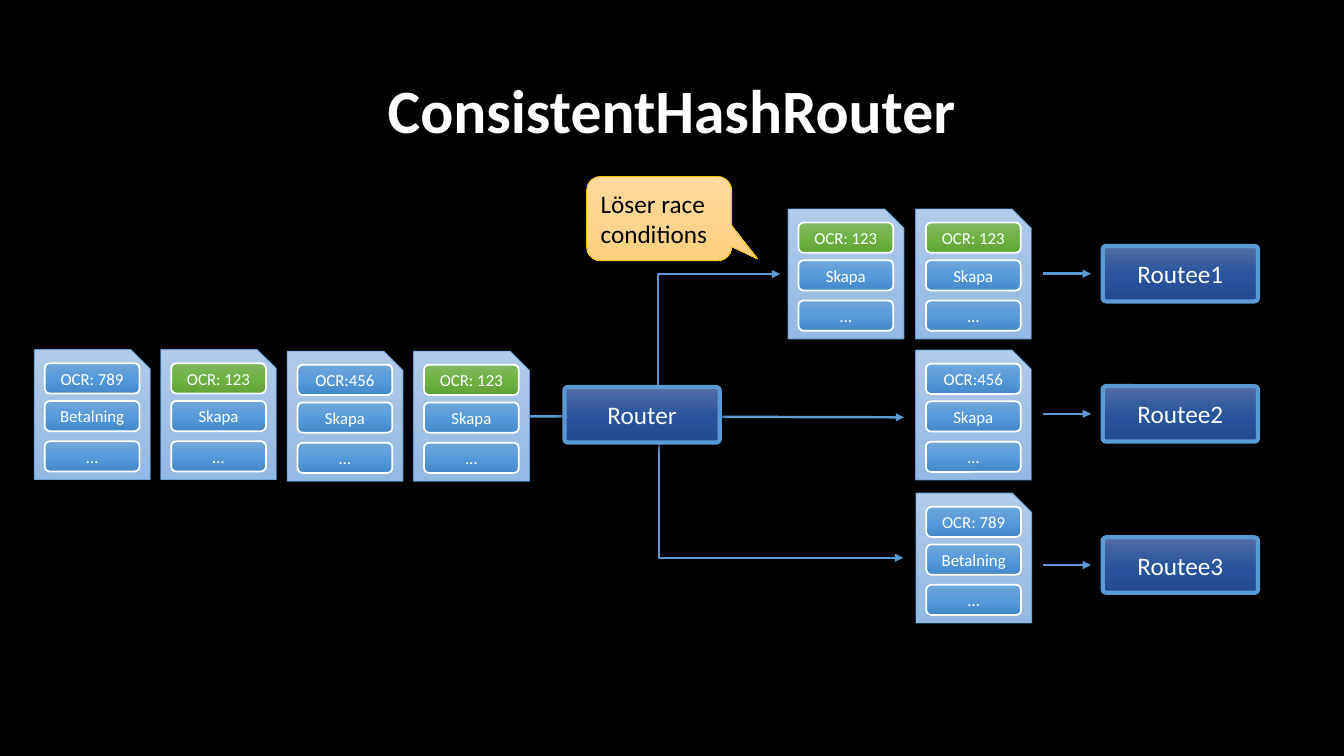
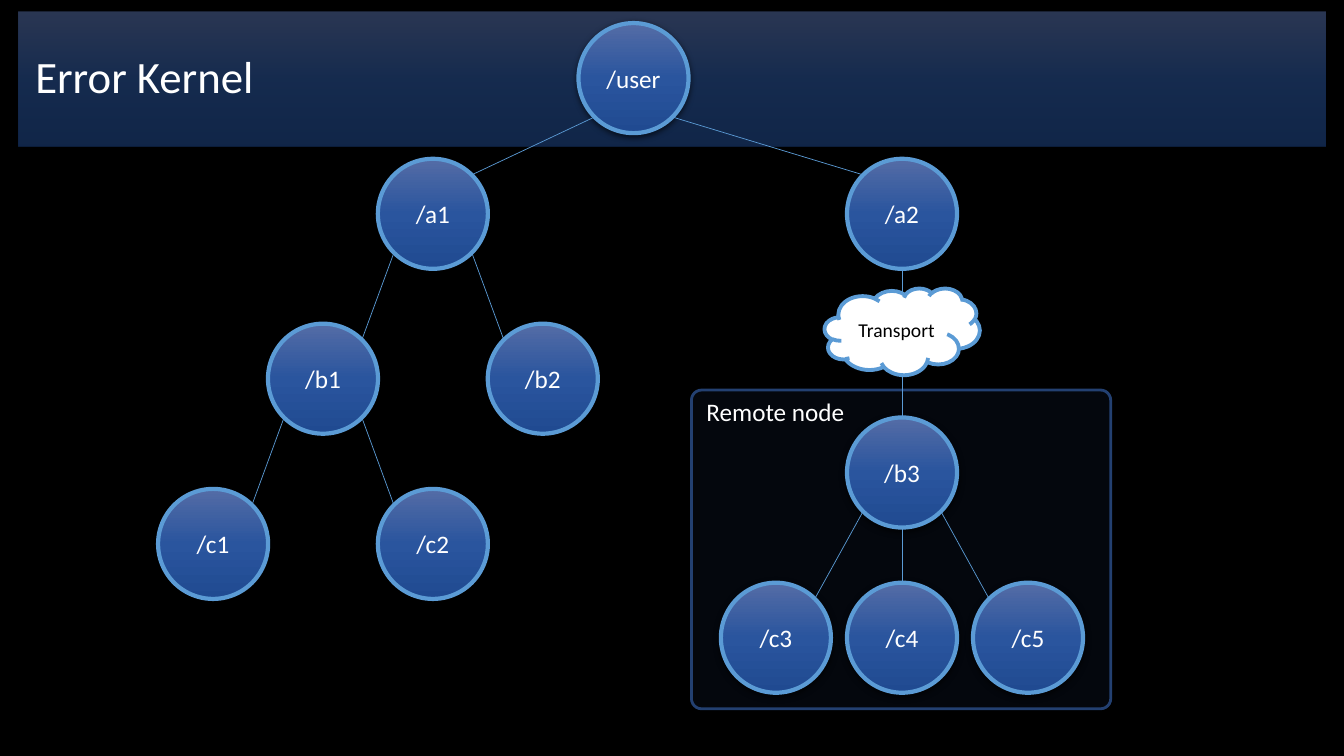
from math import sqrt

from pptx import Presentation
from pptx.dml.color import RGBColor
from pptx.enum.shapes import MSO_CONNECTOR, MSO_SHAPE
from pptx.enum.text import MSO_ANCHOR, MSO_AUTO_SIZE, PP_ALIGN
from pptx.oxml import parse_xml
from pptx.oxml.ns import nsdecls, qn
from pptx.util import Pt

STRAIGHT, ELBOW = MSO_CONNECTOR.STRAIGHT, MSO_CONNECTOR.ELBOW
ROUNDED, SNIPPED = MSO_SHAPE.ROUNDED_RECTANGLE, MSO_SHAPE.SNIP_1_RECTANGLE
OVAL, CLOUD = MSO_SHAPE.OVAL, MSO_SHAPE.CLOUD
CALLOUT = MSO_SHAPE.ROUNDED_RECTANGULAR_CALLOUT
LEFT, CENTER = PP_ALIGN.LEFT, PP_ALIGN.CENTER
MIDDLE, NO_FIT = MSO_ANCHOR.MIDDLE, MSO_AUTO_SIZE.NONE

FONT = "Calibri"
BLACK = RGBColor(0x00, 0x00, 0x00)
WHITE = RGBColor(0xFF, 0xFF, 0xFF)
ACCENT = RGBColor(0x5B, 0x9B, 0xD5)
GOLD = RGBColor(0xFF, 0xC0, 0x00)
PANEL_FILL = RGBColor(0x2F, 0x56, 0x99)
PANEL_LINE = RGBColor(0x23, 0x40, 0x71)
NAVY = (RGBColor(0x54, 0x6C, 0xA6), RGBColor(0x2A, 0x55, 0x9E), RGBColor(0x20, 0x4A, 0x91))
PALE = (RGBColor(0xB1, 0xCB, 0xE9), RGBColor(0xA3, 0xC1, 0xE5), RGBColor(0x93, 0xB9, 0xE4))
BLUE = (RGBColor(0x71, 0xA6, 0xDB), RGBColor(0x55, 0x9B, 0xDB), RGBColor(0x44, 0x8A, 0xCA))
GREEN = (RGBColor(0x81, 0xB8, 0x61), RGBColor(0x6F, 0xB2, 0x42), RGBColor(0x62, 0xA3, 0x36))
AMBER = (RGBColor(0xFF, 0xDB, 0x9E), RGBColor(0xFF, 0xD5, 0x90), RGBColor(0xFF, 0xD0, 0x7C))

PAY_789 = ("OCR: 789", "Betalning", BLUE)
CREATE_123 = ("OCR: 123", "Skapa", GREEN)
CREATE_456 = ("OCR:456", "Skapa", BLUE)
MESSAGES = [
    (24.5, 249.7, PAY_789), (114.8, 249.7, CREATE_123),
    (205.1, 250.8, CREATE_456), (295.4, 250.8, CREATE_123),
    (653.9, 149.2, CREATE_123), (562.9, 149.2, CREATE_123),
    (653.9, 250, CREATE_456), (654.2, 352.2, PAY_789),
]
CARD_W, CARD_H = 82.8, 92.9
FIELD_W, FIELD_H, FIELD_LEFT = 67.7, 21.6, 7.5
FIELD_TOPS = (9.8, 36.7, 65.5)
NODE_W, NODE_H = 110.9, 39.6
ROUTEES = [("Routee1", 175.7), ("Routee2", 275.8), ("Routee3", 383.8)]
QUEUE_END = (378.5, 297.4)
BRANCHES = [
    (ELBOW, (645.1, 398.4), 1.5, 0.346),
    (ELBOW, (557.3, 195.8), 1.5, 0.512),
    (STRAIGHT, (645.8, 298.1), 1.75, None),
]

ACTOR_D = 78.6
ACTORS = {
    "/user": (452.5, 55.8),
    "/a1": (309.2, 152.7), "/a2": (644.3, 152.7),
    "/b1": (230.7, 270.5), "/b2": (387.7, 270.5), "/b3": (644.3, 337.5),
    "/c1": (152.2, 388.5), "/c2": (309.2, 388.5),
    "/c3": (554.2, 455.5), "/c4": (644.3, 455.5), "/c5": (734.3, 455.5),
}
CHILDREN = {
    "/user": ["/a1", "/a2"], "/a1": ["/b1", "/b2"], "/b1": ["/c1", "/c2"],
    "/a2": ["/b3"], "/b3": ["/c3", "/c4", "/c5"],
}


def paint(shape, stops, opacity=100):
    shape.fill.gradient()
    properties = shape._element.spPr
    marks = "".join(
        f'<a:gs pos="{i * 50000}"><a:srgbClr val="{color}">'
        f'<a:alpha val="{opacity * 1000}"/></a:srgbClr></a:gs>'
        for i, color in enumerate(stops))
    gradient = parse_xml(
        f'<a:gradFill {nsdecls("a")} rotWithShape="1"><a:gsLst>{marks}</a:gsLst>'
        '<a:lin ang="5400000" scaled="0"/></a:gradFill>')
    properties.replace(properties.find(qn("a:gradFill")), gradient)


def write(shape, text, size, color=WHITE, align=CENTER, bold=False):
    frame = shape.text_frame
    frame.vertical_anchor = MIDDLE
    paragraph = frame.paragraphs[0]
    paragraph.alignment = align
    run = paragraph.add_run()
    run.text = text
    run.font.name, run.font.size = FONT, Pt(size)
    run.font.bold, run.font.color.rgb = bold, color
    return paragraph


def add_block(slide, kind, box, fill, line, width):
    shape = slide.shapes.add_shape(kind, *map(Pt, box))
    shape.shadow.inherit = False
    if isinstance(fill, RGBColor):
        shape.fill.solid()
        shape.fill.fore_color.rgb = fill
    else:
        paint(shape, fill)
    shape.line.color.rgb, shape.line.width = line, Pt(width)
    shape.text_frame.word_wrap = True
    return shape


def add_node(slide, kind, box, label):
    node = add_block(slide, kind, box, NAVY, ACCENT, 3)
    if kind == ROUNDED:
        node.adjustments[0] = 0.062
    node._element.spPr.find(qn("a:effectLst")).append(parse_xml(
        f'<a:outerShdw {nsdecls("a")} blurRad="57150" dist="19050" dir="5400000" '
        'algn="ctr" rotWithShape="0"><a:srgbClr val="000000"><a:alpha val="63000"/>'
        '</a:srgbClr></a:outerShdw>'))
    write(node, label, 18)


def add_line(slide, kind, start, end, width, arrow=False, bend=None):
    line = slide.shapes.add_connector(kind, *map(Pt, (*start, *end)))
    line.line.color.rgb, line.line.width = ACCENT, Pt(width)
    properties = line._element.spPr
    if arrow:
        properties.find(qn("a:ln")).append(
            parse_xml(f'<a:tailEnd {nsdecls("a")} type="triangle"/>'))
    if bend is not None:
        guides = properties.find(qn("a:prstGeom")).get_or_add_avLst()
        guides.append(parse_xml(
            f'<a:gd {nsdecls("a")} name="adj1" fmla="val {round(bend * 100000)}"/>'))
    properties.append(parse_xml(f'<a:effectLst {nsdecls("a")}/>'))


def add_titled_slide(deck, title, box, size, align, bold):
    slide = deck.slides.add_slide(deck.slide_layouts[5])
    heading = slide.shapes.title
    heading.left, heading.top, heading.width, heading.height = map(Pt, box)
    heading.text_frame.auto_size = NO_FIT
    write(heading, title, size, align=align, bold=bold).line_spacing = 0.9
    return slide


def add_message(slide, left, top, message):
    number, action, tint = message
    add_block(slide, SNIPPED, (left, top, CARD_W, CARD_H), PALE, ACCENT, 0.5)
    for text, fill, offset in zip((number, action, "…"), (tint, BLUE, BLUE), FIELD_TOPS):
        box = (left + FIELD_LEFT, top + offset, FIELD_W, FIELD_H)
        write(add_block(slide, ROUNDED, box, fill, WHITE, 1.25), text, 12)


def build_router(deck):
    slide = add_titled_slide(
        deck, "ConsistentHashRouter", (66, 28.8, 828, 104.4), 44, CENTER, True)
    for message in MESSAGES:
        add_message(slide, *message)
    for label, top in ROUTEES:
        add_node(slide, ROUNDED, (787.7, top, NODE_W, NODE_H), label)
        middle = top + NODE_H / 2
        add_line(slide, STRAIGHT, (745.2, middle), (779.3, middle), 1.75, True)
    for kind, end, width, bend in BRANCHES:
        add_line(slide, kind, QUEUE_END, end, width, True, bend)
    remark = add_block(slide, CALLOUT, (419, 126, 103.7, 60.3), AMBER, GOLD, 0.5)
    for i, value in enumerate((0.68, 0.479, 0.167)):
        remark.adjustments[i] = value
    write(remark, "Löser race conditions", 18, BLACK, LEFT)
    add_node(slide, ROUNDED, (403.2, 276.5, NODE_W, NODE_H), "Router")


def add_branch(slide, parent, child):
    (px, py), (cx, cy) = ACTORS[parent], ACTORS[child]
    radius = ACTOR_D / 2
    diagonal = radius / sqrt(2)
    if px == cx:
        dx, dy = 0, radius
    else:
        dx, dy = (diagonal if cx > px else -diagonal), diagonal
    add_line(slide, STRAIGHT, (px + dx, py + dy), (cx - dx, cy - dy), 0.5)


def build_kernel(deck):
    slide = add_titled_slide(
        deck, "Error Kernel", (13.2, 8.2, 933.8, 96.8), 32, LEFT, False)
    banner = slide.shapes.title
    banner._element.spPr.append(parse_xml(
        f'<a:prstGeom {nsdecls("a")} prst="roundRect"><a:avLst/></a:prstGeom>'))
    paint(banner, NAVY, 50)
    banner.text_frame.margin_left = Pt(12)

    remote = add_block(
        slide, ROUNDED, (493.9, 278.6, 299.5, 227.7), PANEL_FILL, PANEL_LINE, 2)
    remote.adjustments[0] = 0.032
    tint = remote._element.spPr.find(qn("a:solidFill")).find(qn("a:srgbClr"))
    tint.append(parse_xml(f'<a:alpha {nsdecls("a")} val="9000"/>'))

    for label, (x, y) in ACTORS.items():
        box = (x - ACTOR_D / 2, y - ACTOR_D / 2, ACTOR_D, ACTOR_D)
        add_node(slide, OVAL, box, label)
    for parent, children in CHILDREN.items():
        for child in children:
            add_branch(slide, parent, child)

    caption = slide.shapes.add_textbox(*map(Pt, (497.5, 279, 114.5, 29)))
    caption.text_frame.word_wrap = False
    write(caption, "Remote node", 18, align=LEFT)
    transport = add_block(slide, CLOUD, (589, 205.9, 110.9, 61.9), WHITE, ACCENT, 2.75)
    write(transport, "Transport", 14, BLACK)


def main():
    deck = Presentation()
    deck.slide_width, deck.slide_height = Pt(960), Pt(540)
    backdrop = deck.slide_master.background.fill
    backdrop.solid()
    backdrop.fore_color.rgb = BLACK
    build_router(deck)
    build_kernel(deck)
    deck.save("out.pptx")


if __name__ == "__main__":
    main()
